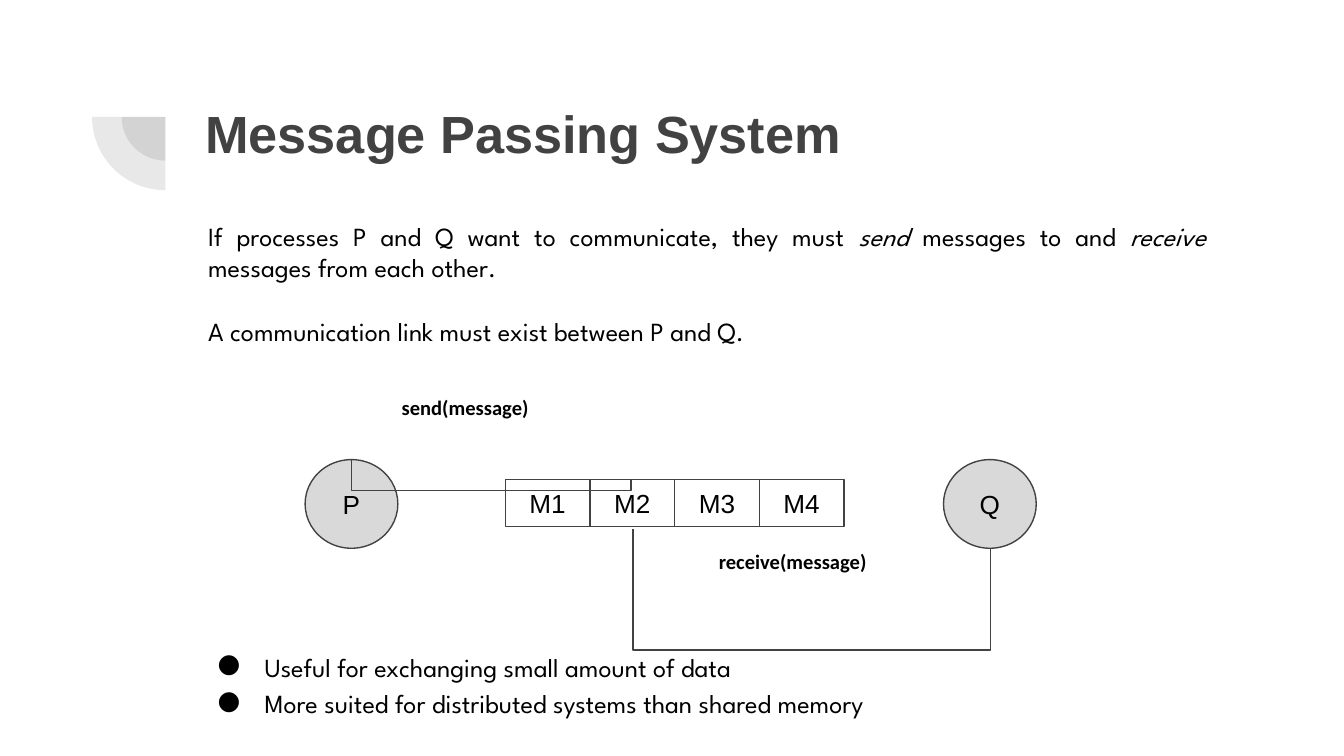
from lxml import etree
from pptx import Presentation
from pptx.dml.color import RGBColor
from pptx.enum.shapes import MSO_CONNECTOR, MSO_SHAPE
from pptx.enum.text import MSO_ANCHOR, PP_ALIGN
from pptx.oxml.ns import qn
from pptx.util import Inches, Pt

PIE, OVAL, RECT = MSO_SHAPE.PIE, MSO_SHAPE.OVAL, MSO_SHAPE.RECTANGLE
ELBOW = MSO_CONNECTOR.ELBOW
CENTER, JUSTIFY = PP_ALIGN.CENTER, PP_ALIGN.JUSTIFY
MIDDLE, TOP = MSO_ANCHOR.MIDDLE, MSO_ANCHOR.TOP

GREY, BLACK, CIRCLE_FILL = "424242", "000000", "D9D9D9"
BODY_FONT = "League Spartan"


def color(value):
    return RGBColor.from_string(value)


def inches(*values):
    return [Inches(value) for value in values]


def format_font(font, name, size, value=BLACK, bold=False):
    font.name = name
    font.size = Pt(size)
    font.bold = bold
    font.color.rgb = color(value)


def set_frame(frame, anchor=TOP):
    frame.word_wrap = True
    frame.vertical_anchor = anchor
    frame.margin_left = frame.margin_right = Inches(0.1)
    frame.margin_top = frame.margin_bottom = Inches(0.1)


def add_text(slide, box, lines, font, size, value=BLACK, bold=False):
    frame = slide.shapes.add_textbox(*inches(*box)).text_frame
    set_frame(frame)
    frame.text = "\n".join(lines)
    for paragraph in frame.paragraphs:
        for run in paragraph.runs:
            format_font(run.font, font, size, value, bold)
    return frame


def add_intro(slide, box, paragraphs):
    frame = slide.shapes.add_textbox(*inches(*box)).text_frame
    set_frame(frame)
    for index, parts in enumerate(paragraphs):
        paragraph = frame.add_paragraph() if index else frame.paragraphs[0]
        paragraph.alignment = JUSTIFY
        paragraph.space_before = Pt(17 if index else 0)
        for text, italic in parts:
            run = paragraph.add_run()
            run.text = text
            format_font(run.font, BODY_FONT, 14)
            run.font.italic = italic


def add_bullets(slide, box, lines):
    frame = add_text(slide, box, lines, BODY_FONT, 14)
    for paragraph in frame.paragraphs:
        paragraph.line_spacing = 1.15
        props = paragraph._p.get_or_add_pPr()
        props.set("marL", str(Inches(0.5)))
        props.set("indent", str(Inches(-0.35)))
        etree.SubElement(props, qn("a:buFont")).set("typeface", BODY_FONT)
        etree.SubElement(props, qn("a:buChar")).set("char", "●")


def add_quarter(slide, center_x, center_y, size):
    box = inches(center_x - size / 2, center_y - size / 2, size, size)
    quarter = slide.shapes.add_shape(PIE, *box)
    quarter.shadow.inherit = False
    quarter.rotation = 270
    quarter.adjustments[0] = 107.93
    quarter.adjustments[1] = 162
    quarter.fill.solid()
    quarter.fill.fore_color.rgb = color(GREY)
    tint = quarter.fill._xPr.find(".//" + qn("a:srgbClr"))
    etree.SubElement(tint, qn("a:alpha")).set("val", "12000")
    quarter.line.fill.background()


def add_node(slide, kind, box, label, fill=None):
    node = slide.shapes.add_shape(kind, *inches(*box))
    node.shadow.inherit = False
    if fill:
        node.fill.solid()
        node.fill.fore_color.rgb = color(fill)
    else:
        node.fill.background()
    node.line.color.rgb = color(GREY)
    node.line.width = Pt(0.75)
    set_frame(node.text_frame, MIDDLE)
    node.text_frame.text = label
    paragraph = node.text_frame.paragraphs[0]
    paragraph.alignment = CENTER
    format_font(paragraph.runs[0].font, "Arial", 14)


def add_link(slide, start, end, preset, bends, rotation=0):
    link = slide.shapes.add_connector(ELBOW, *inches(*start, *end))
    link.line.color.rgb = color(GREY)
    link.line.width = Pt(0.75)
    props = link._element.spPr
    etree.SubElement(props, qn("a:effectLst"))
    props.find(qn("a:xfrm")).set("rot", str(rotation * 60000))
    geometry = props.find(qn("a:prstGeom"))
    geometry.set("prst", preset)
    guides = geometry.find(qn("a:avLst"))
    for number, bend in enumerate(bends, 1):
        guide = etree.SubElement(guides, qn("a:gd"))
        guide.set("name", f"adj{number}")
        guide.set("fmla", f"val {round(bend * 100000)}")


def main():
    deck = Presentation()
    deck.slide_width = Inches(10)
    deck.slide_height = deck.slide_width * 9 // 16
    slide = deck.slides.add_slide(deck.slide_layouts[6])

    for size in (0.65, 1.09):
        add_quarter(slide, 1.23, 0.87, size)
    add_text(slide, (1.43, 0.65, 7.69, 0.76), ["Message Passing System"],
             "Arial", 28, GREY, True)
    add_intro(slide, (1.45, 1.54, 7.62, 1.31), [
        [("If processes P and Q want to communicate, they must ", False),
         ("send ", True), ("messages to and ", False),
         ("receive ", True), ("messages from each other. ", False)],
        [("A communication link must exist between P and Q. ", False)],
    ])

    for index in range(4):
        add_node(slide, RECT, (3.76 + 0.63 * index, 3.57, 0.63, 0.35),
                 f"M{index + 1}")
    for process, left in (("P", 2.27), ("Q", 7.02)):
        add_node(slide, OVAL, (left, 3.42, 0.69, 0.66), process, CIRCLE_FILL)

    add_link(slide, (3.73, 2.45), (3.58, 4.53), "bentConnector3", [1.56], 270)
    add_link(slide, (4.71, 3.94), (7.37, 4.08), "bentConnector4", [0, 6.4])
    for call, box in (("send(message)", (2.89, 2.85, 1.37, 0.35)),
                      ("receive(message)", (5.25, 3.99, 1.5, 0.35))):
        add_text(slide, box, [call], "Calibri", 11, bold=True)

    add_bullets(slide, (1.37, 4.71, 6.29, 0.73), [
        "Useful for exchanging small amount of data",
        "More suited for distributed systems than shared memory",
    ])
    deck.save("out.pptx")


if __name__ == "__main__":
    main()
